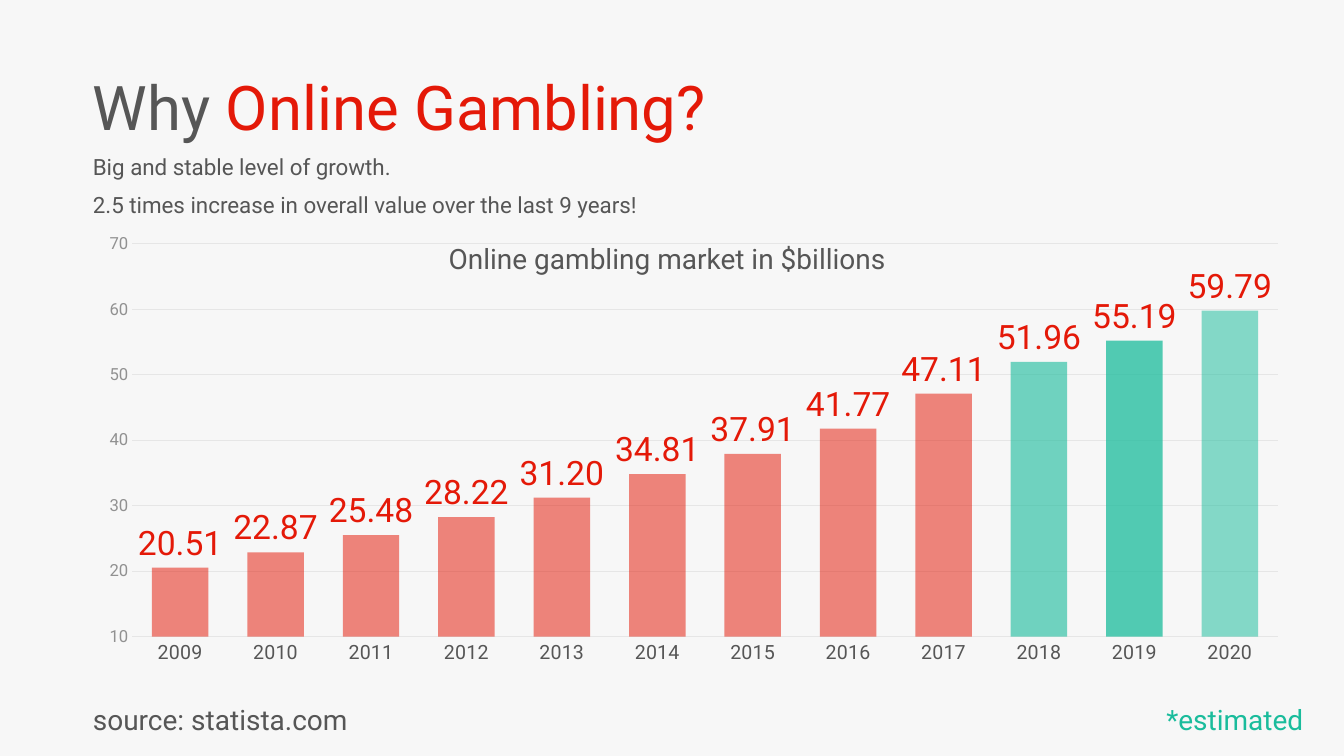
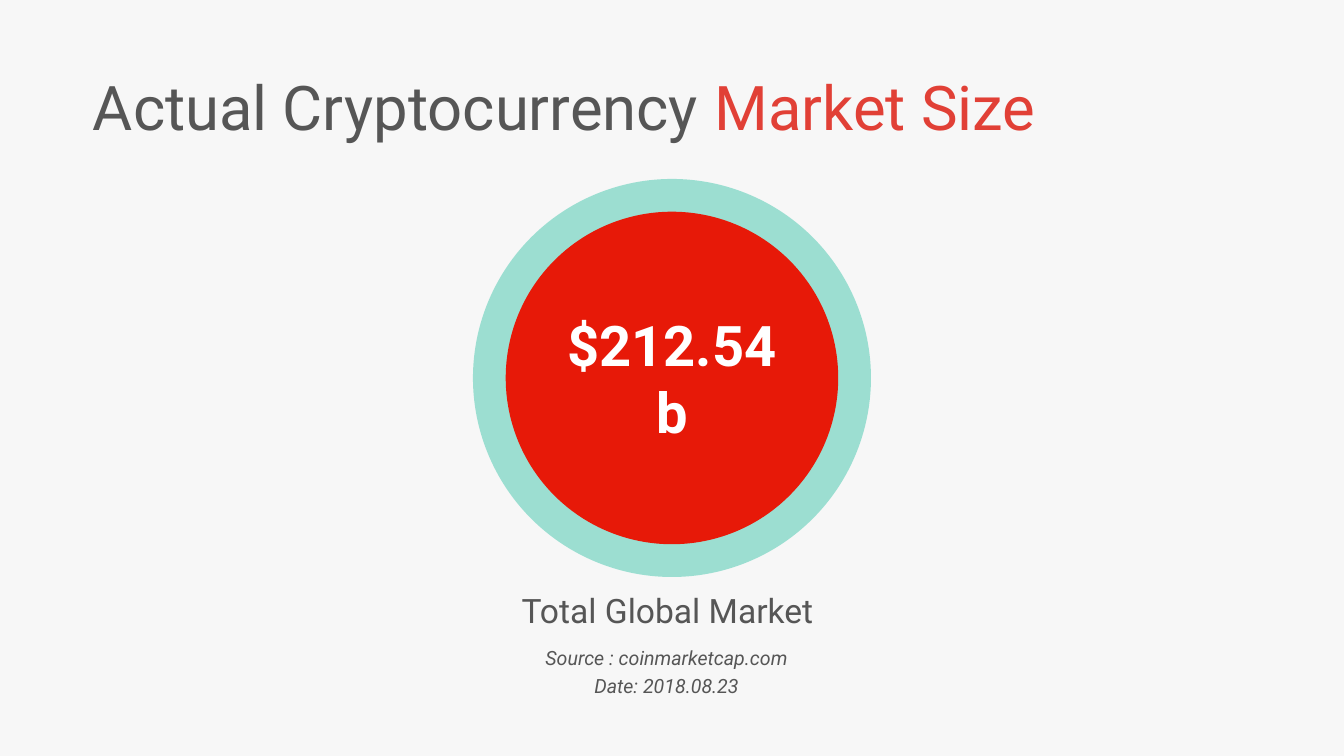
from lxml.etree import SubElement
from pptx import Presentation
from pptx.chart.data import CategoryChartData
from pptx.dml.color import RGBColor
from pptx.enum.chart import XL_CHART_TYPE, XL_LABEL_POSITION, XL_TICK_MARK
from pptx.enum.shapes import MSO_SHAPE
from pptx.enum.text import MSO_ANCHOR, MSO_AUTO_SIZE, PP_ALIGN
from pptx.oxml.ns import qn
from pptx.util import Cm, Pt

FONT = "Roboto"
GREY, PALE, AXIS = "565656", "E6E6E6", "919191"
RED, GREEN, WHITE, BACK = "E41908", "1ABC9C", "FFFFFF", "F7F7F7"
WIDTH, HEIGHT, LEFT = 33.87, 19.05, 2.34

MARKET = {
    "2009": 20.51, "2010": 22.87, "2011": 25.48, "2012": 28.22,
    "2013": 31.2, "2014": 34.81, "2015": 37.91, "2016": 41.77,
    "2017": 47.11, "2018": 51.96, "2019": 55.19, "2020": 59.79,
}
GUESS = {"2018": 61, "2019": 75, "2020": 100}  # opacity of estimated years


def rgb(code):
    return RGBColor.from_string(code)


def paint(fill, code, alpha=100):
    """Fill with a solid colour at an opacity in percent."""
    fill.solid()
    fill.fore_color.rgb = rgb(code)
    if alpha < 100:
        color = fill._xPr.find(qn("a:solidFill")).find(qn("a:srgbClr"))
        SubElement(color, qn("a:alpha"), val=str(alpha * 1000))


def style(font, size, code, bold=False, italic=False):
    font.name, font.size = FONT, Pt(size)
    font.bold, font.italic = bold, italic
    font.color.rgb = rgb(code)


def place(shape, left, top, width, height):
    shape.left, shape.top = Cm(left), Cm(top)
    shape.width, shape.height = Cm(width), Cm(height)


def set_frame(frame, anchor=MSO_ANCHOR.TOP):
    frame.word_wrap = True
    frame.auto_size = MSO_AUTO_SIZE.NONE
    frame.vertical_anchor = anchor
    frame.margin_left = 0


def write(frame, lines, size, align=PP_ALIGN.LEFT, spacing=1.0, gap=0, **look):
    """Write lines, each a list of (text, colour) runs."""
    for index, line in enumerate(lines):
        par = frame.add_paragraph() if index else frame.paragraphs[0]
        par.alignment, par.line_spacing = align, spacing
        par.space_before = Pt(gap if index else 0)
        for text, code in line:
            run = par.add_run()
            run.text = text
            style(run.font, size, code, **look)


def add_title(slide, *runs):
    title = slide.shapes.title
    place(title, LEFT, 1.83, 29.6, 1.96)
    set_frame(title.text_frame)
    write(title.text_frame, [runs], 44, spacing=0.9)


def add_body(slide, texts):
    body = slide.placeholders[1]
    place(body, LEFT, 3.8, 19.7, 1.9)
    set_frame(body.text_frame)
    write(body.text_frame, [[(text, GREY)] for text in texts], 16,
          spacing=0.9, gap=10)
    for par in body.text_frame.paragraphs:
        props = par._p.get_or_add_pPr()
        props.set("marL", "0")
        props.set("indent", "0")
        SubElement(props, qn("a:buNone"))


def add_text(slide, box, texts, size, code=GREY, align=PP_ALIGN.CENTER, **look):
    shape = slide.shapes.add_textbox(*map(Cm, box))
    set_frame(shape.text_frame)
    write(shape.text_frame, [[(text, code)] for text in texts], size,
          align, 1.2, **look)


def add_disc(group, size, code, alpha=100):
    """Add a disc at the middle of the slide."""
    box = ((WIDTH - size) / 2, (HEIGHT - size) / 2, size, size)
    disc = group.shapes.add_shape(MSO_SHAPE.OVAL, *map(Cm, box))
    disc.shadow.inherit = False
    disc.line.fill.background()
    paint(disc.fill, code, alpha)
    return disc


def set_plot(chart, **sides):
    """Fix the inner plot area in fractions of the chart."""
    area = chart._chartSpace.chart.plotArea
    for old in area.findall(qn("c:layout")):
        area.remove(old)
    layout = area.makeelement(qn("c:layout"))
    area.insert(0, layout)
    manual = SubElement(layout, qn("c:manualLayout"))
    parts = {"layoutTarget": "inner", "xMode": "edge", "yMode": "edge", **sides}
    for name, value in parts.items():
        SubElement(manual, qn("c:" + name), val=str(value))


def set_axes(chart):
    years, values = chart.category_axis, chart.value_axis
    for axis, size, code in ((years, 14, GREY), (values, 11.9, AXIS)):
        axis.major_tick_mark = axis.minor_tick_mark = XL_TICK_MARK.NONE
        style(axis.tick_labels.font, size, code)
    values.minimum_scale, values.maximum_scale = 10, 70
    values.major_unit = 10
    values.tick_labels.number_format = "#,##0"
    values.tick_labels.number_format_is_linked = False
    values.format.line.fill.background()
    for line in (years.format.line, values.major_gridlines.format.line):
        line.color.rgb = rgb(PALE)
        line.width = Pt(0.75)


def add_columns(slide):
    data = CategoryChartData()
    data.categories = list(MARKET)
    data.add_series("Series 1", list(MARKET.values()))
    box = (LEFT, 5.41, 30.25, 11.84)
    chart = slide.shapes.add_chart(
        XL_CHART_TYPE.COLUMN_CLUSTERED, *map(Cm, box), data).chart
    chart.has_legend = chart.has_title = False
    style(chart.font, 10, GREY)
    set_plot(chart, x=0.033, y=0.062, w=0.954, h=0.836)
    set_axes(chart)

    plot = chart.plots[0]
    plot.gap_width, plot.overlap = 69, 7
    plot.vary_by_categories = False
    series = plot.series[0]
    paint(series.format.fill, RED, 52)
    for index, year in enumerate(MARKET):
        if year in GUESS:
            paint(series.points[index].format.fill, GREEN, GUESS[year])
    labels = series.data_labels
    labels.show_value = True
    labels.position = XL_LABEL_POSITION.OUTSIDE_END
    labels.number_format = "#,##0.00"
    labels.number_format_is_linked = False
    style(labels.font, 24, RED)


def add_growth(deck):
    slide = deck.slides.add_slide(deck.slide_layouts[1])
    add_title(slide, ("Why ", GREY), ("Online Gambling?", RED))
    add_body(slide, ["Big and stable level of growth.",
                     "2.5 times increase in overall value over the last 9 years!"])
    add_columns(slide)
    add_text(slide, (11.12, 5.8, 11.64, 1.27),
             ["Online gambling market in $billions"], 20)
    add_text(slide, (LEFT, 17.4, 7.75, 1.27), ["source: statista.com"], 20,
             align=PP_ALIGN.LEFT)
    add_text(slide, (27.46, 17.4, 5.64, 1.27), ["*estimated"], 20, GREEN,
             PP_ALIGN.RIGHT)


def add_size(deck):
    slide = deck.slides.add_slide(deck.slide_layouts[5])
    add_title(slide, ("Actual Cryptocurrency ", GREY), ("Market Size", "E14036"))
    group = slide.shapes.add_group_shape()
    add_disc(group, 10.03, GREEN, 41)
    frame = add_disc(group, 8.38, "E71908").text_frame
    frame.word_wrap = True
    frame.vertical_anchor = MSO_ANCHOR.MIDDLE
    write(frame, [[("$212.54b", WHITE)]], 40, PP_ALIGN.CENTER, bold=True)
    add_text(slide, (11.56, 14.53, 10.77, 1.47), ["Total Global Market"], 24)
    add_text(slide, (11.73, 16.03, 10.39, 1.68),
             ["Source : coinmarketcap.com", "Date: 2018.08.23"], 14, italic=True)


def main():
    deck = Presentation()
    deck.slide_width, deck.slide_height = Cm(WIDTH), Cm(HEIGHT)
    paint(deck.slide_master.background.fill, BACK)
    add_growth(deck)
    add_size(deck)
    deck.save("out.pptx")


if __name__ == "__main__":
    main()
